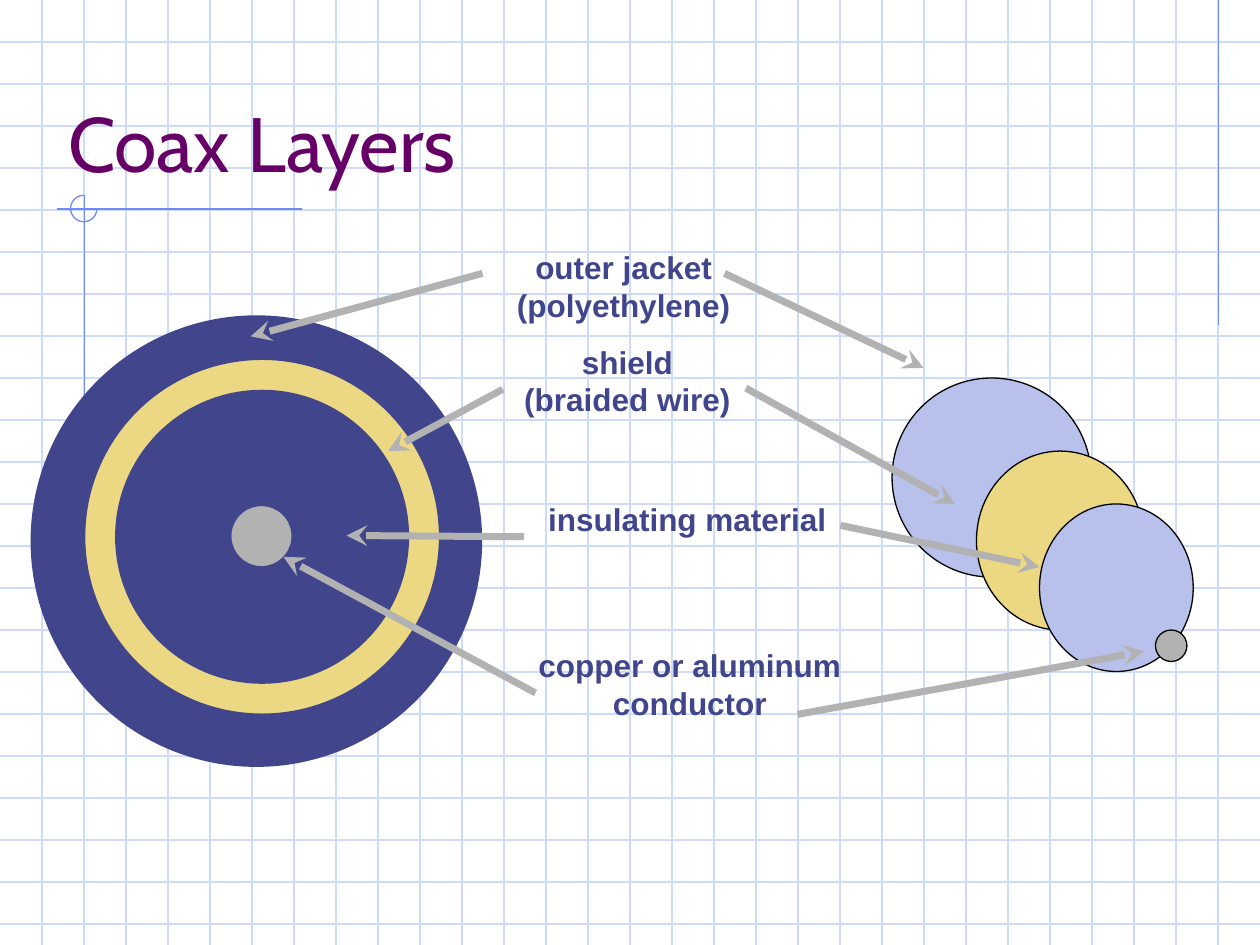
from pptx import Presentation
from pptx.dml.color import RGBColor
from pptx.enum.shapes import MSO_CONNECTOR as Link, MSO_SHAPE as Form
from pptx.enum.text import MSO_ANCHOR as Anchor, MSO_AUTO_SIZE as Fit, PP_ALIGN as Align
from pptx.oxml.ns import qn
from pptx.util import Inches, Pt
from lxml.etree import SubElement as add_tag

NAVY, GOLD, GRAY, PALE = "40458C", "ECD882", "B2B2B2", "B7C1EB"
GRID, RULE, PLUM, BLACK = "CFDBFD", "6F89F7", "660066", "000000"


def paint(spot, shade):
    """Set a colour format to a hex shade."""
    spot.rgb = RGBColor.from_string(shade)


def rule(slide, start, end, shade, width=0.75, arrow=False):
    """Draw a line, with an optional arrowhead at its start."""
    line = slide.shapes.add_connector(Link.STRAIGHT, *map(Inches, start + end))
    paint(line.line.color, shade)
    line.line.width = Pt(width)
    props = line._element.spPr
    if arrow:
        add_tag(props.find(qn("a:ln")), qn("a:headEnd"), type="stealth")
    add_tag(props, qn("a:effectLst"))


def disc(slide, box, fill, edge, width):
    """Draw one filled ellipse."""
    oval = slide.shapes.add_shape(Form.OVAL, *map(Inches, box))
    oval.shadow.inherit = False
    oval.fill.solid()
    paint(oval.fill.fore_color, fill)
    paint(oval.line.color, edge)
    oval.line.width = Pt(width)


def grid(slide, wide, high):
    """Cover the slide with squares a third of an inch wide."""
    for step in range(1, int(high * 3) + 1):
        rule(slide, (0, step / 3), (wide, step / 3), GRID)
    for step in range(1, wide * 3):
        rule(slide, (step / 3, 0), (step / 3, high), GRID)


def trim(slide, left, top, size):
    """Draw the accent rules and the open ring where two of them cross."""
    rule(slide, (9.67, 0), (9.67, 2.58), RULE)
    rule(slide, (left - 0.11, top + 0.11), (2.4, top + 0.11), RULE)
    rule(slide, (left + 0.11, top), (left + 0.11, 4.09), RULE)
    ring = slide.shapes.add_shape(Form.ARC, *map(Inches, (left, top, size, size)))
    ring.adjustments[0], ring.adjustments[1] = 0, 162
    ring.shadow.inherit = False
    ring.fill.background()
    paint(ring.line.color, RULE)
    ring.line.width = Pt(0.75)


def head(slide, left, top, width, height):
    """Place the title above the grid."""
    title = slide.shapes.title
    slide.shapes._spTree.append(title._element)
    title.left, title.top, title.width, title.height = map(
        Inches, (left, top, width, height))
    frame = title.text_frame
    frame.text = "Coax Layers"
    frame.auto_size = Fit.NONE
    frame.vertical_anchor = Anchor.MIDDLE
    frame.paragraphs[0].alignment = Align.LEFT
    font = frame.paragraphs[0].runs[0].font
    font.name, font.size = "Cabin", Pt(44)
    paint(font.color, PLUM)


def label(slide, text, left, top, width, height):
    """Write one centred layer name."""
    frame = slide.shapes.add_textbox(
        *map(Inches, (left, top, width, height))).text_frame
    frame.word_wrap = False
    frame.auto_size = Fit.SHAPE_TO_FIT_TEXT
    frame.text = text
    for para in frame.paragraphs:
        para.alignment = Align.CENTER
        for run in para.runs:
            run.font.name, run.font.size, run.font.bold = "Arial", Pt(18), True
            paint(run.font.color, NAVY)


def front(slide, left, top):
    """Draw the end view of the cable as nested discs with pointers."""
    for shift, drop, size, fill in (
            (0, 0, 3.57, NAVY), (0.42, 0.34, 2.82, GOLD),
            (0.67, 0.59, 2.32, NAVY), (1.58, 1.5, 0.49, GRAY)):
        disc(slide, (left + shift, top + drop, size, size), fill, NAVY, 1)
    for tip_x, tip_y, end_x, end_y in (
            (1.74, 0.16, 3.58, -0.34), (2.83, 1.07, 3.74, 0.58),
            (2.5, 1.74, 3.91, 1.75), (2, 1.91, 4, 2.99)):
        rule(slide, (left + tip_x, top + tip_y), (left + end_x, top + end_y),
             GRAY, 4, True)


def side(slide, left, top):
    """Draw the stepped view of the cable with pointers."""
    for shift, drop, width, height, fill in (
            (0, 0, 1.58, 1.58, PALE), (0.67, 0.58, 1.33, 1.42, GOLD),
            (1.17, 1, 1.22, 1.33, PALE), (2.09, 2, 0.25, 0.25, GRAY)):
        disc(slide, (left + shift, top + drop, width, height), fill, BLACK, 0.75)
    for tip_x, tip_y, end_x, end_y in (
            (0.25, -0.08, -1.33, -0.83), (0.5, 1, -1.16, 0.08),
            (1.17, 1.5, -0.41, 1.17), (2, 2.17, -0.75, 2.67)):
        rule(slide, (left + tip_x, top + tip_y), (left + end_x, top + end_y),
             GRAY, 4, True)


def main():
    """Build and save the slide."""
    deck = Presentation()
    deck.slide_width, deck.slide_height = Inches(10), Inches(7.5)
    slide = deck.slides.add_slide(deck.slide_layouts[5])
    grid(slide, 10, 7.5)
    trim(slide, 0.56, 1.55, 0.21)
    head(slide, 0.44, 0.5, 8.5, 1.25)
    label(slide, "outer jacket\n(polyethylene)", 4, 1.92, 1.9, 0.7)
    label(slide, "shield\v(braided wire)", 4.06, 2.67, 1.84, 0.7)
    label(slide, "insulating material", 4.25, 3.92, 2.41, 0.4)
    label(slide, "copper or aluminum\nconductor", 4.17, 5.08, 2.61, 0.7)
    front(slide, 0.25, 2.51)
    side(slide, 7.08, 3)
    deck.save("out.pptx")


if __name__ == "__main__":
    main()
